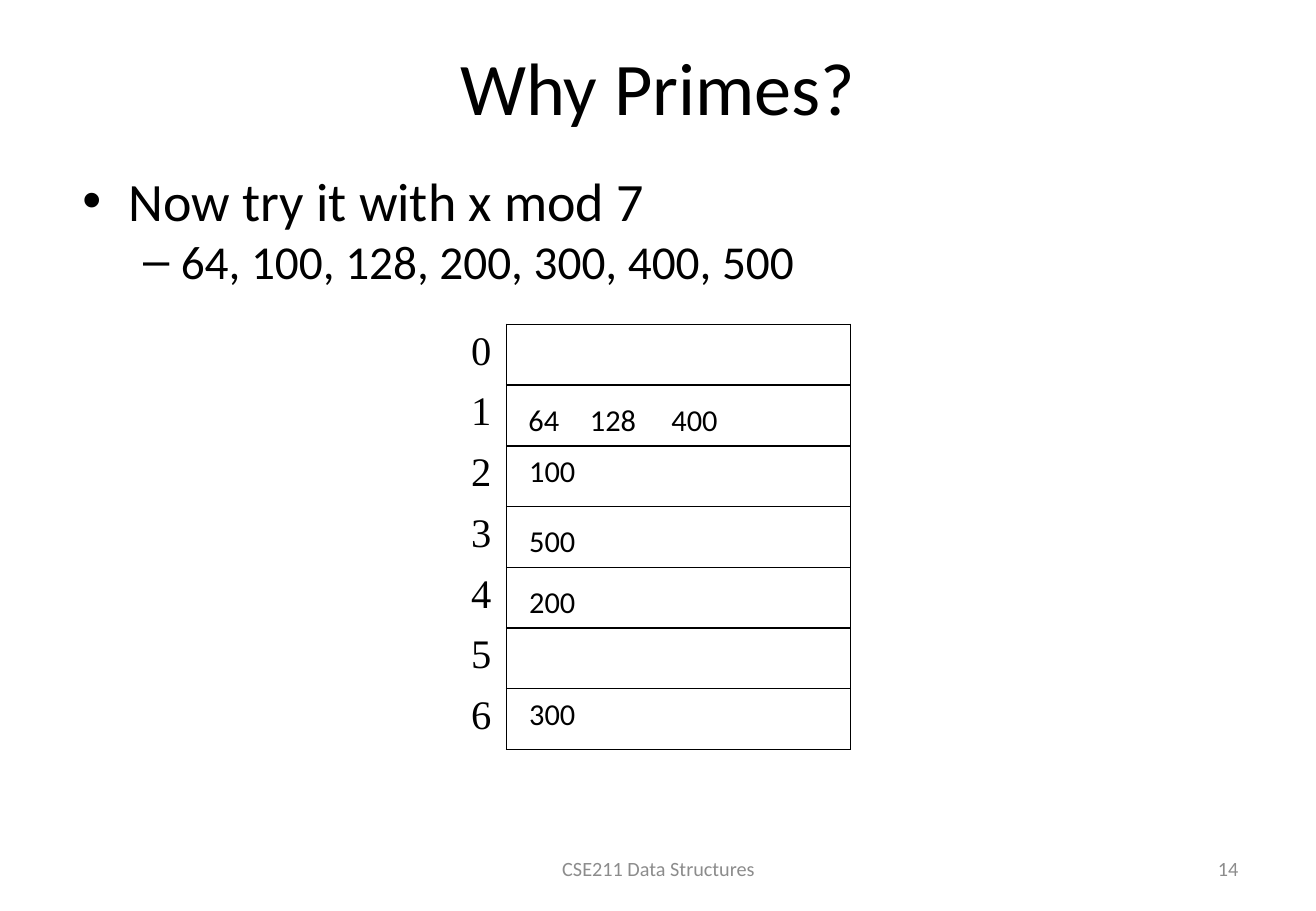
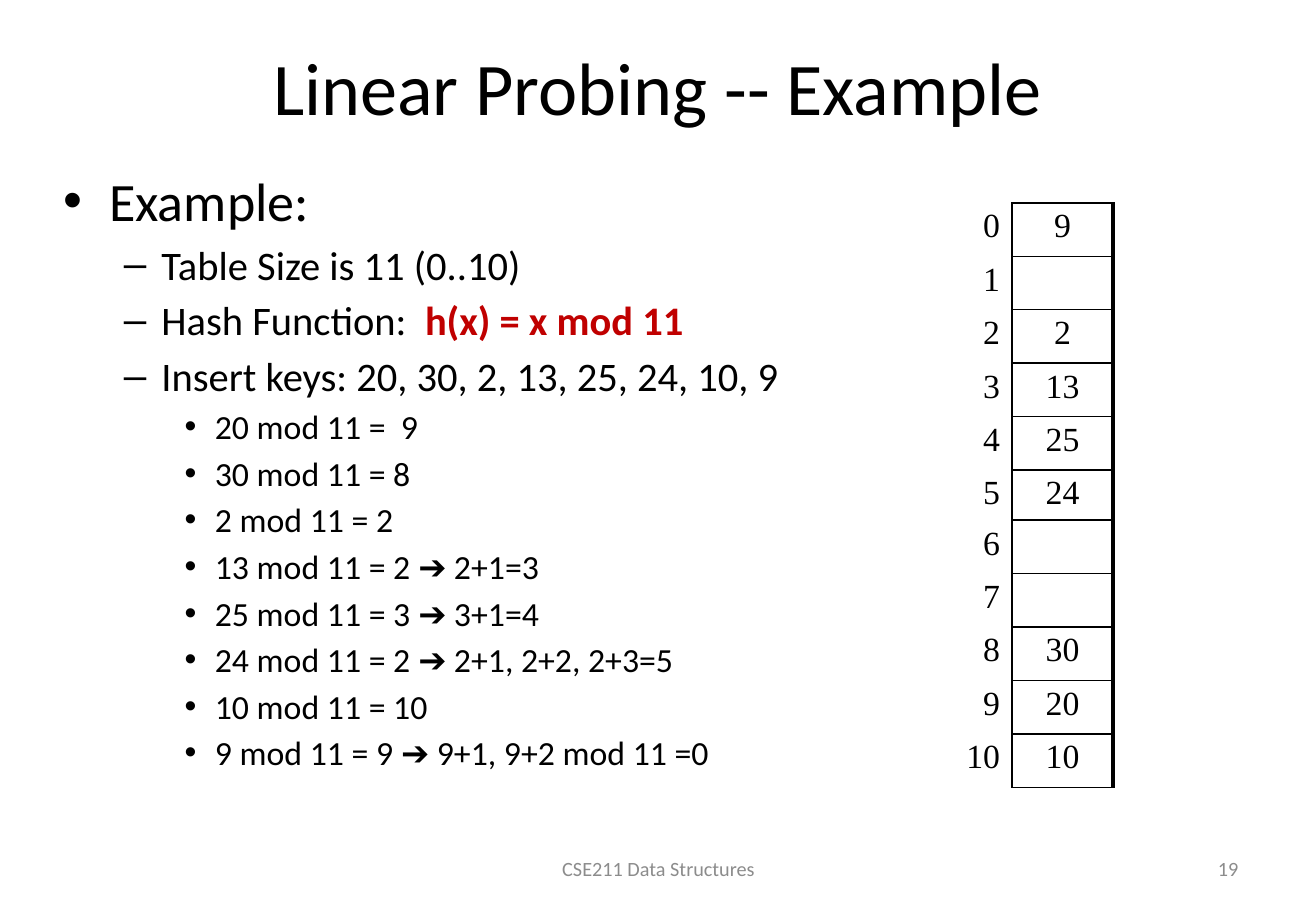
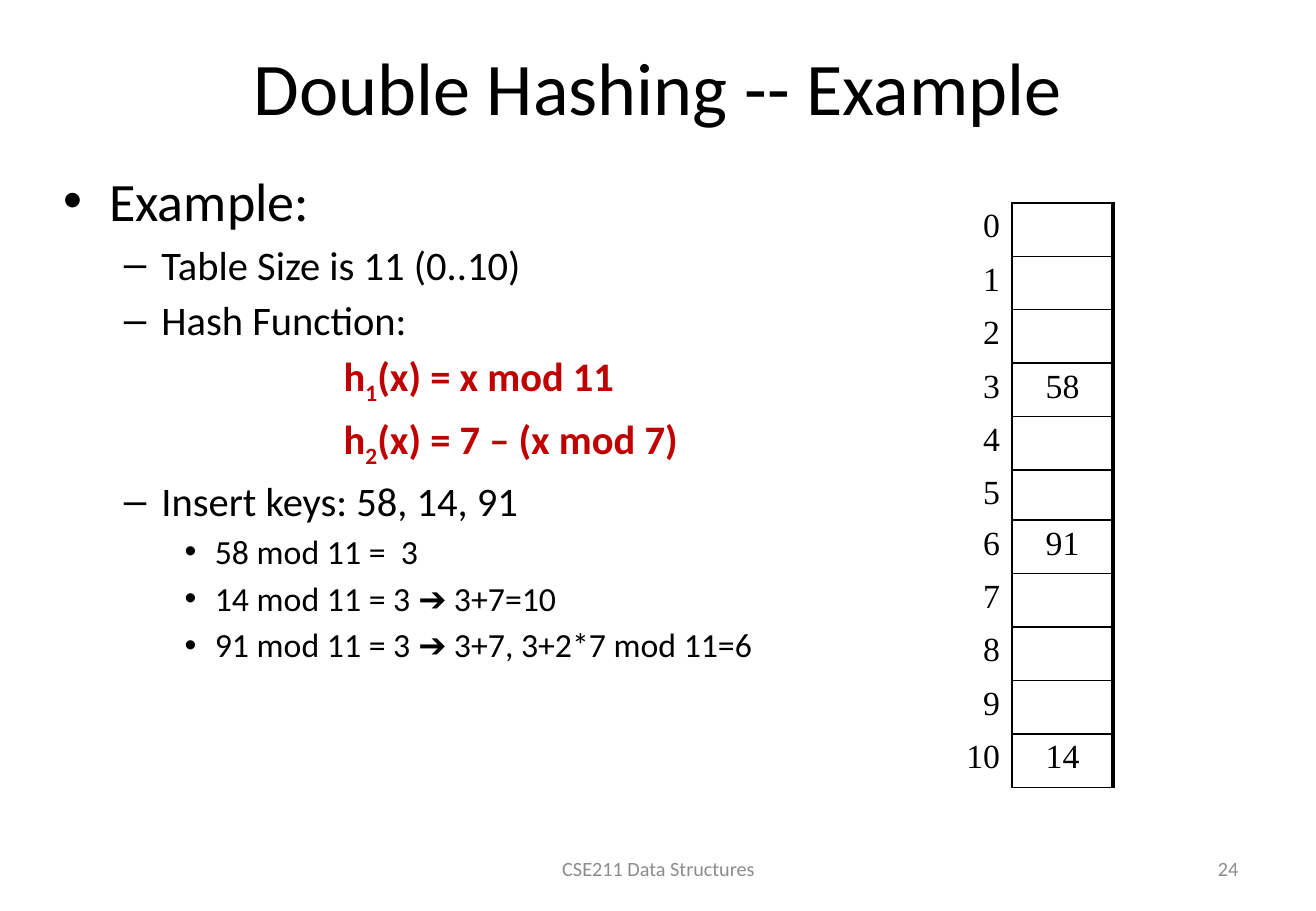
import pptx
import pptx.util
import pptx.dml.color
import pptx.enum.text
import lxml.etree
from pptx.util import Inches

ALIGN = pptx.enum.text.PP_ALIGN
ANCHOR = pptx.enum.text.MSO_ANCHOR
BLACK, RED, GREY = "000000", "C00000", "8C8C8C"
BODY_FONT, TABLE_FONT = "Calibri", "Times New Roman"
DRAWING = "{http://schemas.openxmlformats.org/drawingml/2006/main}"

# Body levels: left indent, hanging indent, bullet
LEVELS = {
    "main": (0.38, 0.38, "•"),
    "point": (0.81, 0.31, "–"),
    "formula": (2.31, 0, None),
    "step": (1.25, 0.25, "•"),
}


def color(value):
    return pptx.dml.color.RGBColor.from_string(value)


def write(paragraph, runs, size, align=ALIGN.LEFT, font=BODY_FONT, ink=BLACK):
    """Fill a paragraph; each run is plain text or (text, extra format)."""
    paragraph.alignment = align
    for item in runs:
        text, extra = (item, {}) if isinstance(item, str) else item
        run = paragraph.add_run()
        run.text = text
        run.font.color.rgb = color(extra.get("ink", ink))
        values = {"name": font, "size": pptx.util.Pt(size), "bold": "ink" in extra}
        for name, value in values.items():
            setattr(run.font, name, value)
        if "baseline" in extra:
            run._r.get_or_add_rPr().set("baseline", extra["baseline"])


STRONG = {"ink": RED}
SUBSCRIPT = {"ink": RED, "baseline": "-25000"}
SLOT_ROWS = [0.44] * 5 + [0.4] + [0.44] * 5
PROBING_TABLE = {
    "at": (7.75, 1.67), "columns": (0.58, 0.83), "rows": SLOT_ROWS,
    "size": 20, "align": ALIGN.RIGHT, "right_line": 2.25,
}
PROBING = {
    "body_at": (0.42, 1.33, 6.75, 5.58), "gap": 0.18, "table": PROBING_TABLE,
    "sizes": {"main": 32, "point": 24, "formula": 24, "step": 20},
}

pages = [
    {
        "title": "Why Primes?", "number": 14,
        "body_at": (0.58, 1.33, 9.75, 1.25), "gap": 0,
        "sizes": {"main": 32, "point": 28},
        "body": [("main", ["Now try it with x mod 7"]),
                 ("point", ["64, 100, 128, 200, 300, 400, 500"])],
        "table": {"at": (3.75, 2.67), "columns": (0.42, 2.83), "rows": [0.5] * 7,
                  "size": 24, "align": ALIGN.CENTER, "right_line": 1},
        "slots": {},
        "keys": [("64", 4.25, 3.25), ("128", 4.75, 3.25), ("400", 5.42, 3.25),
                 ("100", 4.25, 3.67), ("500", 4.25, 4.25), ("200", 4.25, 4.75),
                 ("300", 4.25, 5.67)],
    },
    {
        **PROBING, "title": "Linear Probing -- Example", "number": 19,
        "body": [
            ("main", ["Example:"]),
            ("point", ["Table Size is 11 (0..10)"]),
            ("point", ["Hash Function:  ", ("h(x) = x mod 11", STRONG)]),
            ("point", ["Insert keys: 20, 30, 2, 13, 25, 24, 10, 9"]),
            ("step", ["20 mod 11 =  9"]),
            ("step", ["30 mod 11 = 8"]),
            ("step", ["2 mod 11 = 2"]),
            ("step", ["13 mod 11 = 2 ➔ 2+1=3"]),
            ("step", ["25 mod 11 = 3 ➔ 3+1=4"]),
            ("step", ["24 mod 11 = 2 ➔ 2+1, 2+2, 2+3=5"]),
            ("step", ["10 mod 11 = 10"]),
            ("step", ["9 mod 11 = 9 ➔ 9+1, 9+2 mod 11 =0"]),
        ],
        "slots": {0: 9, 2: 2, 3: 13, 4: 25, 5: 24, 8: 30, 9: 20, 10: 10},
        "keys": [],
    },
    {
        **PROBING, "title": "Double Hashing -- Example", "number": 24,
        "body": [
            ("main", ["Example:"]),
            ("point", ["Table Size is 11 (0..10)"]),
            ("point", ["Hash Function:"]),
            ("formula", [("h", STRONG), ("1", SUBSCRIPT), ("(x) = x mod 11", STRONG)]),
            ("formula", [("h", STRONG), ("2", SUBSCRIPT), ("(x) = 7 – (x mod 7)", STRONG)]),
            ("point", ["Insert keys: 58, 14, 91"]),
            ("step", ["58 mod 11 =  3"]),
            ("step", ["14 mod 11 = 3 ➔ 3+7=10"]),
            ("step", ["91 mod 11 = 3 ➔ 3+7, 3+2*7 mod 11=6"]),
        ],
        "slots": {3: 58, 6: 91, 10: 14},
        "keys": [],
    },
]

presentation = pptx.Presentation()
presentation.slide_width, presentation.slide_height = Inches(10.83), Inches(7.5)

for page in pages:
    slide = presentation.slides.add_slide(presentation.slide_layouts[6])

    # Title, footer and slide number
    for text, box, size, align, ink in [
        (page["title"], (0.54, 0.25, 9.75, 0.92), 44, ALIGN.CENTER, BLACK),
        ("CSE211 Data Structures", (3.42, 6.95, 4, 0.4), 12, ALIGN.CENTER, GREY),
        (str(page["number"]), (7.76, 6.95, 2.53, 0.4), 12, ALIGN.RIGHT, GREY),
    ]:
        frame = slide.shapes.add_textbox(*map(Inches, box)).text_frame
        frame.word_wrap = True
        frame.vertical_anchor = ANCHOR.MIDDLE
        write(frame.paragraphs[0], [text], size, align, ink=ink)

    # Bulleted body
    frame = slide.shapes.add_textbox(*map(Inches, page["body_at"])).text_frame
    frame.word_wrap = True
    for index, (level, runs) in enumerate(page["body"]):
        paragraph = frame.add_paragraph() if index else frame.paragraphs[0]
        size = page["sizes"][level]
        left, hanging, bullet = LEVELS[level]
        write(paragraph, runs, size)
        paragraph.space_before = pptx.util.Pt(size * page["gap"])
        properties = paragraph._p.get_or_add_pPr()
        properties.set("marL", str(Inches(left)))
        properties.set("indent", str(-Inches(hanging)))
        if bullet:
            lxml.etree.SubElement(properties, DRAWING + "buFont", typeface="Arial")
            lxml.etree.SubElement(properties, DRAWING + "buChar", char=bullet)

    # Hash table: slot numbers on the left, bordered slots on the right
    layout = page["table"]
    widths, heights = layout["columns"], layout["rows"]
    table = slide.shapes.add_table(
        len(heights), 2, *map(Inches, (*layout["at"], sum(widths), sum(heights)))).table
    table.first_row = table.horz_banding = False
    for column, width in zip(table.columns, widths):
        column.width = Inches(width)
    slot_lines = {"lnL": 1, "lnR": layout["right_line"], "lnT": 1, "lnB": 1}
    for row, height in enumerate(heights):
        table.rows[row].height = Inches(height)
        for column, (text, align, lines) in enumerate([
            (row, layout["align"], {"lnR": 1}),
            (page["slots"].get(row), ALIGN.CENTER, slot_lines),
        ]):
            cell = table.cell(row, column)
            cell.margin_top = cell.margin_bottom = Inches(0.04)
            cell.fill.background()
            if text is not None:
                write(cell.text_frame.paragraphs[0], [str(text)], layout["size"],
                      align, TABLE_FONT)
            for position, (side, points) in enumerate(lines.items()):
                line = lxml.etree.Element(DRAWING + side, w=str(pptx.util.Pt(points)))
                fill = lxml.etree.SubElement(line, DRAWING + "solidFill")
                lxml.etree.SubElement(fill, DRAWING + "srgbClr", val=BLACK)
                cell._tc.get_or_add_tcPr().insert(position, line)

    # Keys lying over the table
    for key, left, top in page["keys"]:
        width = 0.45 if len(key) == 2 else 0.59
        box = slide.shapes.add_textbox(*map(Inches, (left, top, width, 0.4)))
        box.text_frame.word_wrap = False
        box.text_frame.auto_size = pptx.enum.text.MSO_AUTO_SIZE.SHAPE_TO_FIT_TEXT
        write(box.text_frame.paragraphs[0], [key], 18, ALIGN.CENTER)

presentation.save("out.pptx")
